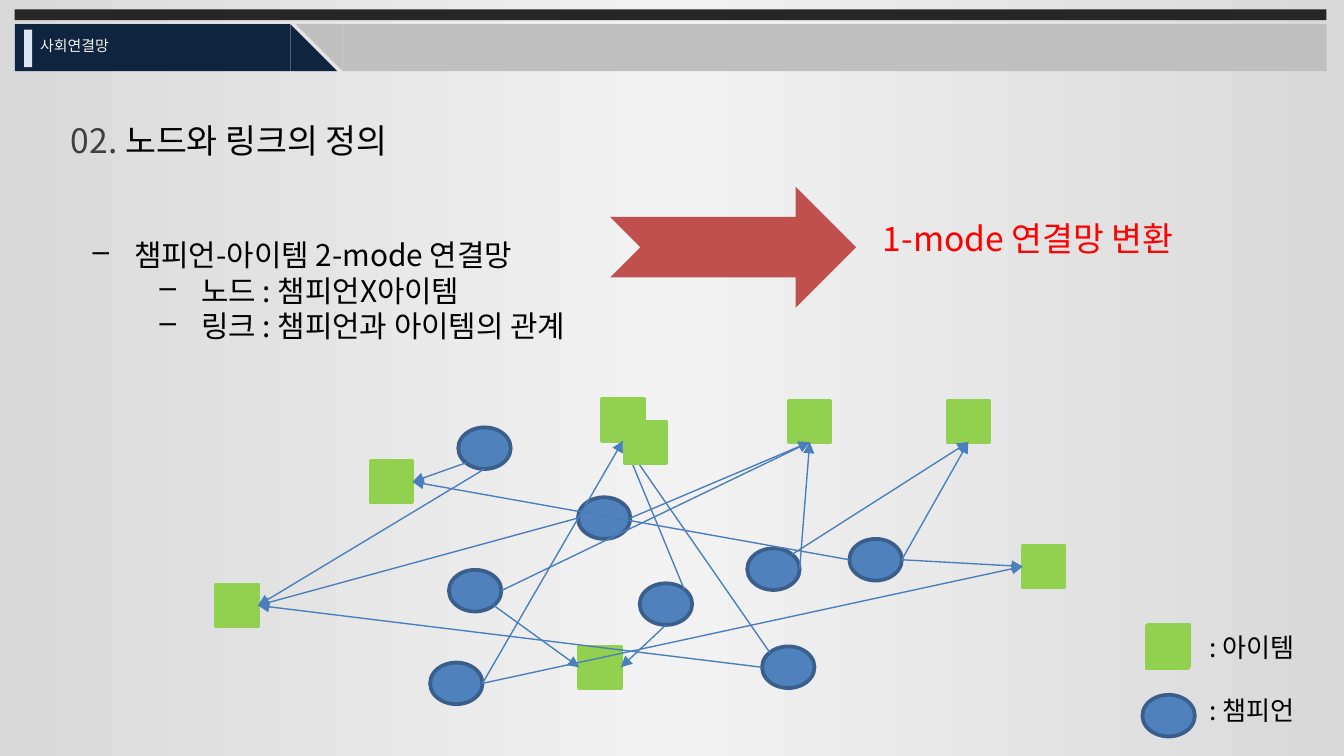
import copy
from lxml import etree
from pptx import Presentation, util as u
from pptx.dml.color import RGBColor
from pptx.enum import shapes, text
from pptx.oxml.ns import qn

FONT = "Noto Sans CJK KR"
COLORS = {
    "edge": "D9D9D9", "middle": "F2F2F2", "bar": "262626", "navy": "0F243E",
    "gray": "BFBFBF", "accent": "DCE6F2", "item": "92D050", "champion": "4F81BD",
    "rim": "3A5F8C", "link": "4B7EBC", "arrow": "C0504D", "red": "FF0000",
    "number": "404040", "black": "000000", "label": "F2F2F2",
}
KIND = shapes.MSO_SHAPE
HEADER = [
    (KIND.RECTANGLE, (0.11, 0.07, 9.76, 0.08), "bar", 0),
    (KIND.RECTANGLE, (0.11, 0.18, 2.05, 0.35), "navy", 0),
    (KIND.RIGHT_TRIANGLE, (2.16, 0.18, 0.35, 0.35), "navy", 0),
    (KIND.RECTANGLE, (2.55, 0.18, 7.32, 0.35), "gray", 180),
    (KIND.RIGHT_TRIANGLE, (2.2, 0.18, 0.35, 0.35), "gray", 180),
    (KIND.RECTANGLE, (0.18, 0.22, 0.06, 0.28), "accent", 0),
]
TEXTS = [
    ((0.59, 1.71, 9.28, 3.73),
     [[("챔피언-아이템 2-mode 연결망", "black")],
      [("노드 : 챔피언X아이템", "black")],
      [("링크 : 챔피언과 아이템의 관계", "black")]],
     dict(size=16, indents=(0.31, 0.81, 0.81))),
    ((0.43, 0.84, 9.13, 0.4),
     [[("02. ", "number"), ("노드와 링크의 정의", "black")]], dict(size=18)),
    ((0.2, 0.22, 1.5, 0.24), [[("사회연결망", "label")]], dict(size=8)),
    ((8.9, 4.65, 0.98, 0.81),
     [[(": 아이템", "black")], [(": 챔피언", "black")]], dict(size=14, gap=17)),
    ((6.47, 1.57, 2.52, 0.4), [[("1-mode 연결망 변환", "red")]], dict(size=18)),
]
CHAMPIONS = {
    "c1": (3.41, 3.18), "c2": (4.3, 3.7), "c3": (3.34, 4.24), "c4": (4.76, 4.34),
    "c5": (5.56, 4.08), "c6": (6.32, 4.01), "c7": (3.2, 4.93), "c8": (5.67, 4.81),
}
ITEMS = {
    "i1": (2.76, 3.43), "i2": (4.48, 2.97), "i3": (5.87, 2.98), "i4": (7.05, 2.98),
    "i5": (1.61, 4.35), "i6": (7.61, 4.06), "i7": (4.31, 4.81),
}
FRONT_ITEMS = [(4.65, 3.14), (8.53, 4.66), (8.54, 4.65)]
LEGEND_CHAMPION = (8.5, 5.17)
CHAMPION_SIZE, ITEM_SIZE = (0.39, 0.31), (0.31, 0.31)
SITES = {
    "left": (0, 0.5), "right": (1, 0.5), "bottom": (0.5, 1),
    "top left": (0.15, 0.15), "top right": (0.85, 0.15),
    "bottom left": (0.15, 0.85), "bottom right": (0.85, 0.85),
}
LINKS = [
    ("c1", "bottom left", "i1", "right"), ("c1", "bottom", "i5", "right"),
    ("c3", "bottom right", "i7", "left"), ("c3", "right", "i3", "bottom"),
    ("c7", "right", "i2", "bottom"), ("c7", "right", "i6", "left"),
    ("c2", "right", "i3", "bottom"), ("c2", "left", "i5", "right"),
    ("c4", "top right", "i2", "bottom"), ("c4", "bottom", "i7", "right"),
    ("c5", "top right", "i4", "bottom"), ("c5", "right", "i3", "bottom"),
    ("c6", "right", "i6", "left"), ("c6", "right", "i4", "bottom"),
    ("c6", "left", "i1", "right"), ("c8", "left", "i5", "right"),
    ("c8", "top left", "i2", "bottom"),
]


def color(name):
    return RGBColor.from_string(COLORS[name])


def inches(values):
    return [u.Inches(value) for value in values]


def add_shape(page, kind, area, fill, line=None, rotation=0):
    shape = page.shapes.add_shape(kind, *inches(area))
    shape.shadow.inherit = False
    shape.rotation = rotation
    shape.fill.solid()
    shape.fill.fore_color.rgb = color(fill)
    if line:
        shape.line.color.rgb = color(line)
        shape.line.width = u.Pt(2)
    else:
        shape.line.fill.background()


def add_item(page, place):
    add_shape(page, KIND.RECTANGLE, place + ITEM_SIZE, "item", "item")


def add_champion(page, place):
    add_shape(page, KIND.OVAL, place + CHAMPION_SIZE, "champion", "rim")


def add_text(page, area, paragraphs, size, indents=(), gap=0):
    frame = page.shapes.add_textbox(*inches(area)).text_frame
    frame.word_wrap = True
    frame.vertical_anchor = text.MSO_ANCHOR.TOP
    for index, spans in enumerate(paragraphs):
        para = frame.add_paragraph() if index else frame.paragraphs[0]
        para.space_before = u.Pt(gap if index else 0)
        if indents:
            para.level = 1 if index else 0
            properties = para._p.get_or_add_pPr()
            properties.set("marL", str(u.Inches(indents[index])))
            properties.set("indent", str(u.Inches(-0.31)))
            etree.SubElement(properties, qn("a:buChar")).set("char", "–")
        for words, tone in spans:
            span = para.add_run()
            span.text = words
            span.font.size = u.Pt(size)
            span.font.name = FONT
            span.font.color.rgb = color(tone)
            east = etree.SubElement(span._r.get_or_add_rPr(), qn("a:ea"))
            east.set("typeface", FONT)


def site(place, size, name):
    return [start + length * part for start, length, part in zip(place, size, SITES[name])]


def add_link(page, champion, start, item, end):
    begin = site(CHAMPIONS[champion], CHAMPION_SIZE, start)
    finish = site(ITEMS[item], ITEM_SIZE, end)
    link = page.shapes.add_connector(shapes.MSO_CONNECTOR.STRAIGHT, *inches(begin + finish))
    link.line.color.rgb = color("link")
    link.line.width = u.Pt(0.75)
    etree.SubElement(link.line._get_or_add_ln(), qn("a:tailEnd")).set("type", "triangle")
    etree.SubElement(link._element.spPr, qn("a:effectLst"))


def paint_background(page):
    fill = page.background.fill
    fill.gradient()
    fill.gradient_angle = 0
    stops = next(page._element.iter(qn("a:gsLst")))
    stops.append(copy.deepcopy(stops[-1]))
    for stop, tone, position in zip(fill.gradient_stops, ("edge", "middle", "edge"), (0, 0.5, 1)):
        stop.color.rgb = color(tone)
        stop.position = position


def main():
    deck = Presentation()
    deck.slide_width = u.Inches(10)
    deck.slide_height = deck.slide_width * 9 // 16
    page = deck.slides.add_slide(deck.slide_layouts[6])
    paint_background(page)
    for kind, area, fill, rotation in HEADER:
        add_shape(page, kind, area, fill, rotation=rotation)
    for area, paragraphs, style in TEXTS:
        add_text(page, area, paragraphs, **style)
    for place in CHAMPIONS.values():
        add_champion(page, place)
    for place in ITEMS.values():
        add_item(page, place)
    for link in LINKS:
        add_link(page, *link)
    for place in FRONT_ITEMS:
        add_item(page, place)
    add_champion(page, LEGEND_CHAMPION)
    add_shape(page, KIND.NOTCHED_RIGHT_ARROW, (4.54, 1.39, 1.83, 0.9), "arrow")
    deck.save("out.pptx")


if __name__ == "__main__":
    main()
